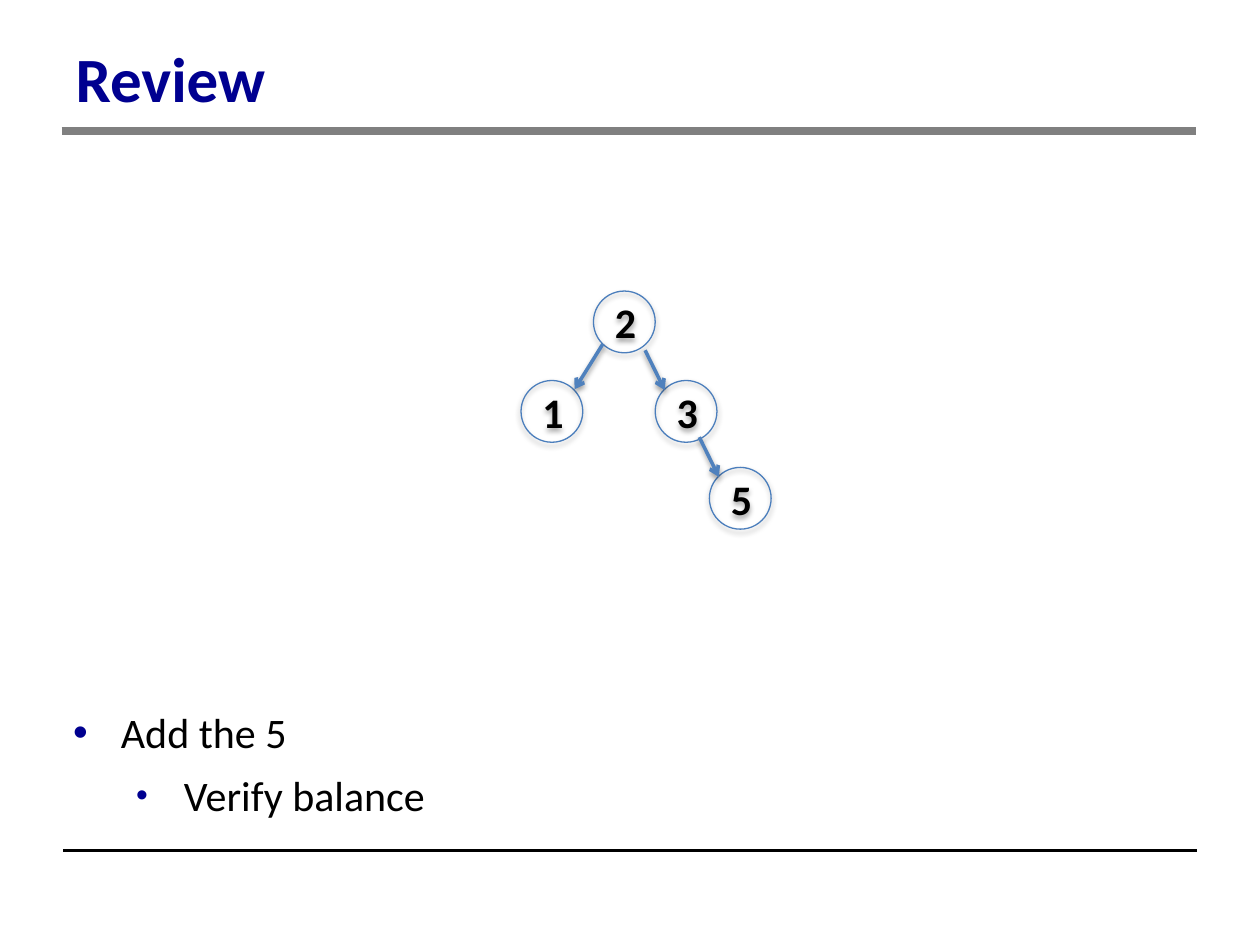
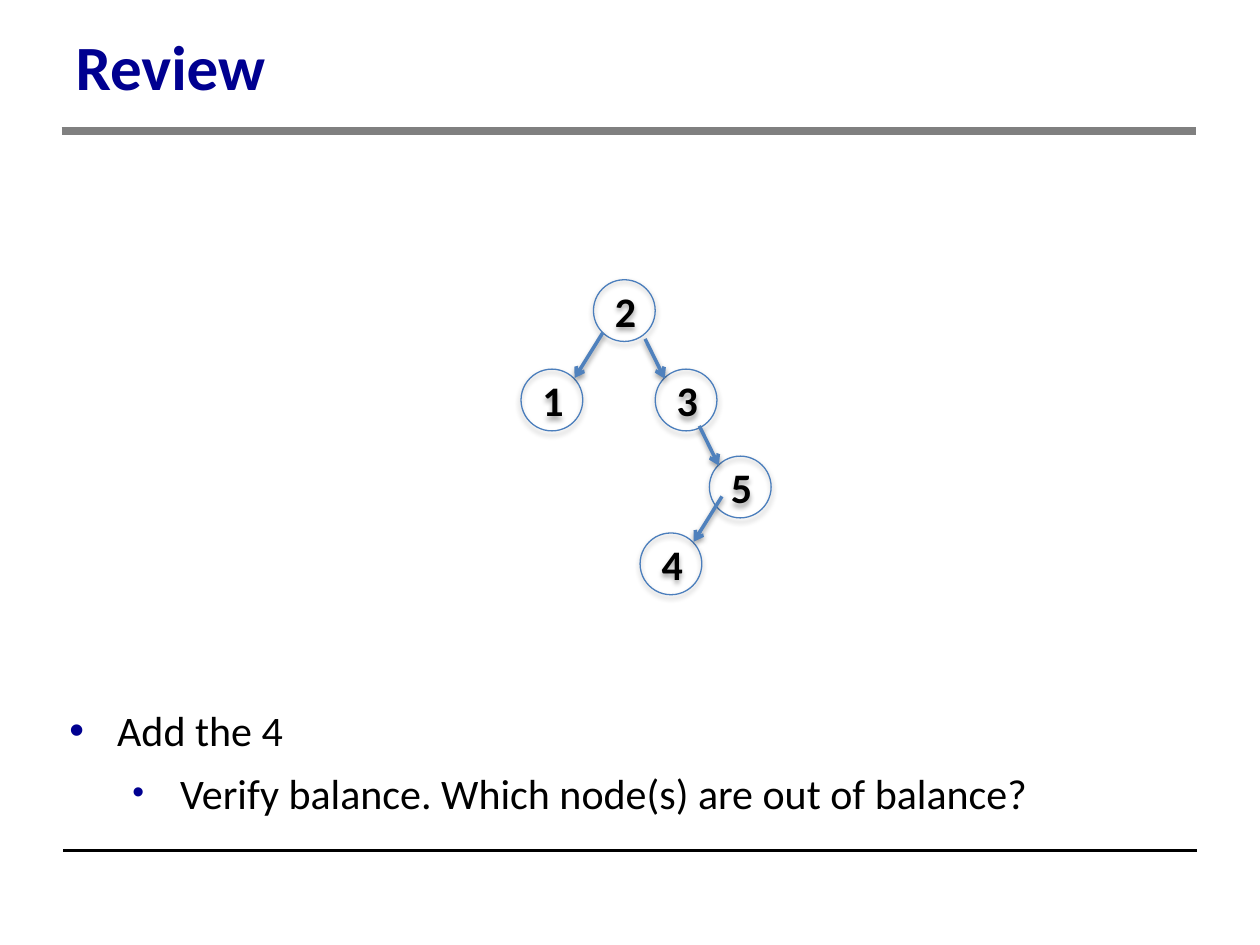
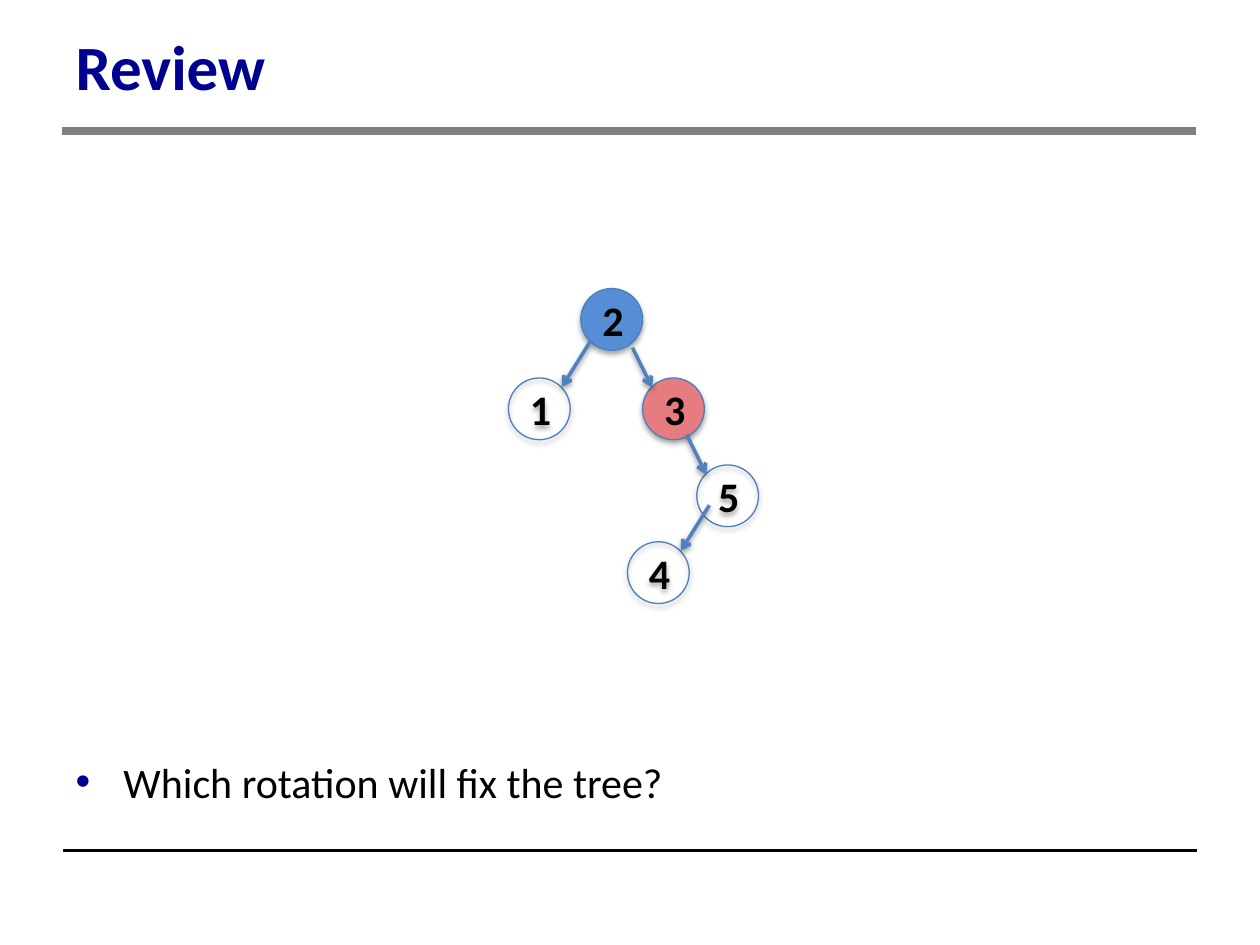
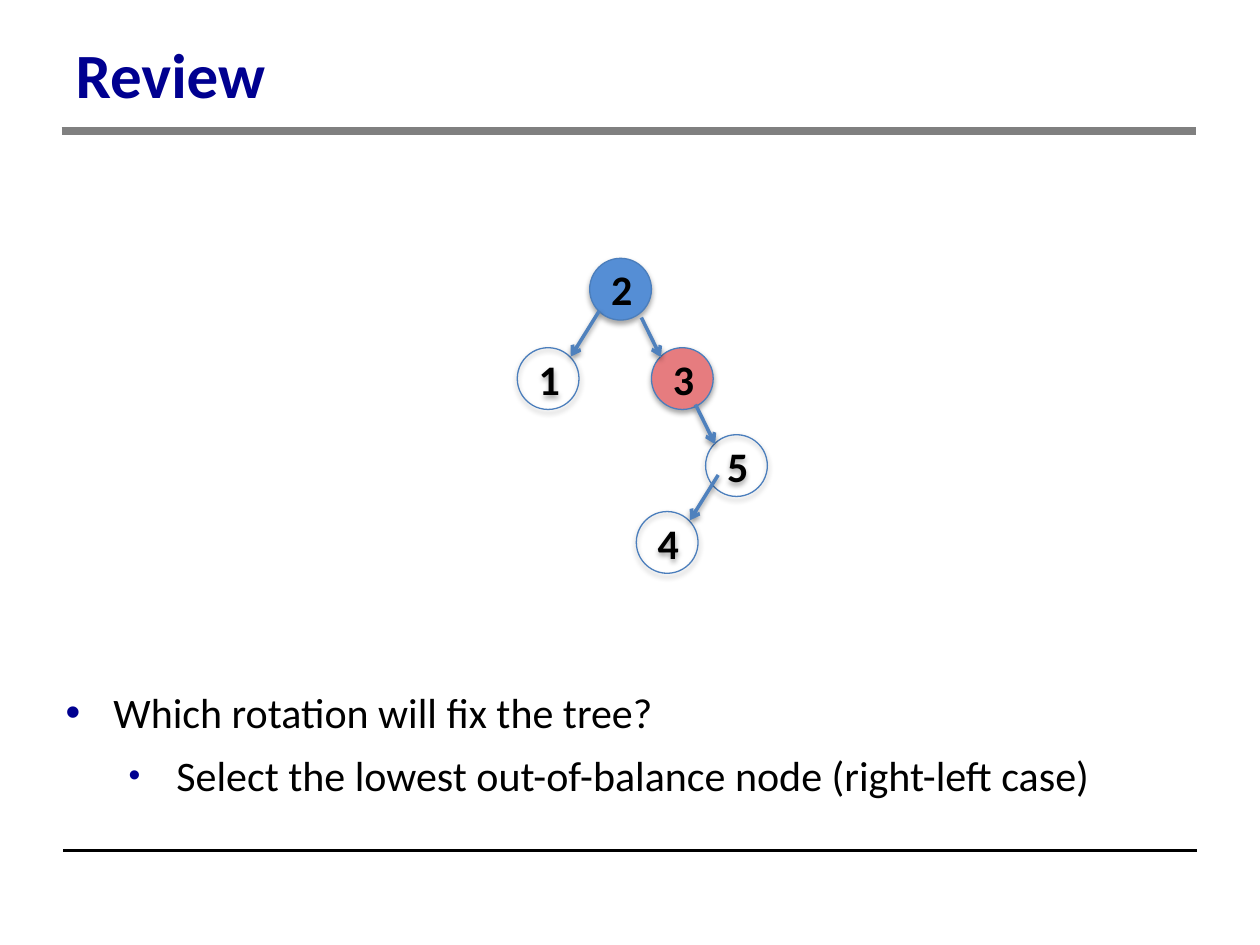
from dataclasses import dataclass

from lxml import etree
from pptx import Presentation
from pptx.dml.color import RGBColor
from pptx.enum.shapes import MSO_CONNECTOR, MSO_SHAPE
from pptx.enum.text import MSO_ANCHOR, MSO_AUTO_SIZE, PP_ALIGN
from pptx.oxml.ns import qn
from pptx.util import Inches, Length, Pt

STRAIGHT, OVAL = MSO_CONNECTOR.STRAIGHT, MSO_SHAPE.OVAL
BOTTOM, MIDDLE = MSO_ANCHOR.BOTTOM, MSO_ANCHOR.MIDDLE
LEFT, CENTER = PP_ALIGN.LEFT, PP_ALIGN.CENTER
NO_FIT, GROW = MSO_AUTO_SIZE.NONE, MSO_AUTO_SIZE.SHAPE_TO_FIT_TEXT

WIDTH, HEIGHT = Inches(10), Inches(7.5)
COLUMNS, ROWS = 100, 75
TITLE_LEFT, TITLE_TOP, TITLE_WIDTH = 5, 1.7, 82.1
NODE_SIZE = 4.9


@dataclass(frozen=True)
class Theme:
    font: str = "Calibri"
    title_size: int = 36
    title_leading: int = 40
    text_size: int = 24
    sub_gap: int = 7
    text: str = "000000"
    accent: str = "000090"
    title_rule: str = "808080"
    node_line: str = "4B7EBC"
    edge: str = "4F81BD"
    unbalanced: str = "558ED5"
    lowest_unbalanced: str = "E67C7F"


@dataclass(frozen=True)
class Rule:
    left: float
    top: float
    width: float
    color: str
    weight: float


@dataclass(frozen=True)
class Node:
    label: str
    dx: float
    dy: float
    side: str = ""


@dataclass(frozen=True)
class Edge:
    tip: tuple[float, float]
    run: tuple[float, float]


@dataclass(frozen=True)
class Bullet:
    text: str
    level: int = 0


@dataclass(frozen=True)
class Review:
    title_height: float
    root: tuple[float, float]
    nodes: list[Node]
    fills: dict[str, str]
    body: tuple[float, float, float, float]
    bullets: list[Bullet]


THEME = Theme()
RULES = [
    Rule(5, 67.5, 90, THEME.text, 2),
    Rule(4.9, 10.4, 90, THEME.title_rule, 5),
]
EDGES = {
    "left": Edge(tip=(4.25, 0.7), run=(-2.25, 3.6)),
    "right": Edge(tip=(0.75, 0.75), run=(1.55, 3.15)),
}
TREE = [
    Node("2", 0, 0),
    Node("1", -5.75, 7.1, "left"),
    Node("3", 4.9, 7.1, "right"),
    Node("5", 9.2, 14, "right"),
]
TREE_WITH_4 = TREE + [Node("4", 3.7, 20.1, "left")]
MARKED = {"2": THEME.unbalanced, "3": THEME.lowest_unbalanced}
QUESTION = Bullet("Which rotation will fix the tree?")

REVIEWS = [
    Review(7.9, (47.1, 23.1), TREE, {}, (4.8, 55.6, 83.3, 10.3),
           [Bullet("Add the 5"), Bullet("Verify balance", 1)]),
    Review(7, (47.1, 22.2), TREE_WITH_4, {}, (4.5, 55.4, 95, 10.3),
           [Bullet("Add the 4"),
            Bullet("Verify balance. Which node(s) are out of balance?", 1)]),
    Review(7, (46.1, 22.9), TREE_WITH_4, MARKED, (5, 59.5, 95, 5),
           [QUESTION]),
    Review(7.6, (46.8, 20.5), TREE_WITH_4, MARKED, (4.2, 54, 95, 10.3),
           [QUESTION,
            Bullet("Select the lowest out-of-balance node (right-left case)", 1)]),
]


def col(n: float) -> Length:
    return Length(round(WIDTH * n / COLUMNS))


def row(n: float) -> Length:
    return Length(round(HEIGHT * n / ROWS))


def rgb(color: str) -> RGBColor:
    return RGBColor.from_string(color)


def place(sp, left: float, top: float, width: float, height: float) -> None:
    sp.left, sp.top = col(left), row(top)
    sp.width, sp.height = col(width), row(height)


def add_run(p, text: str, size: float, color: str, bold: bool = False) -> None:
    r = p.add_run()
    r.text = text
    r.font.name = THEME.font
    r.font.size = Pt(size)
    r.font.bold = bold
    r.font.color.rgb = rgb(color)


def add_shadow(effects, distance: float, opacity: int) -> None:
    shadow = etree.SubElement(
        effects, qn("a:outerShdw"), blurRad=str(Pt(3.1)), dist=str(Pt(distance)),
        dir="5400000", rotWithShape="0")
    color = etree.SubElement(shadow, qn("a:srgbClr"), val="000000")
    etree.SubElement(color, qn("a:alpha"), val=str(opacity * 1000))


def add_line(s, start: tuple[float, float], end: tuple[float, float],
             color: str, weight: float):
    line = s.shapes.add_connector(
        STRAIGHT, col(start[0]), row(start[1]), col(end[0]), row(end[1]))
    line.line.color.rgb = rgb(color)
    line.line.width = Pt(weight)
    effects = etree.SubElement(line.element.spPr, qn("a:effectLst"))
    return line, effects


def move_rules_to_master(prs, s) -> None:
    tree = prs.slide_master.element.cSld.spTree
    for number, rule in enumerate(RULES, start=100):
        line, _ = add_line(s, (rule.left, rule.top),
                           (rule.left + rule.width, rule.top),
                           rule.color, rule.weight)
        line.element.nvCxnSpPr.cNvPr.set("id", str(number))
        tree.append(line.element)


def set_title(s, text: str, height: float) -> None:
    title = s.shapes.title
    place(title, TITLE_LEFT, TITLE_TOP, TITLE_WIDTH, height)
    tf = title.text_frame
    tf.auto_size = NO_FIT
    tf.vertical_anchor = BOTTOM
    p = tf.paragraphs[0]
    p.alignment = LEFT
    p.line_spacing = Pt(THEME.title_leading)
    add_run(p, text, THEME.title_size, THEME.accent, bold=True)


def set_bullet(p, level: int) -> None:
    p.level = level
    pPr = p._p.get_or_add_pPr()
    pPr.set("marL", str(Inches(0.38 + 0.5 * level)))
    pPr.set("indent", str(Inches(-0.38)))
    color = etree.SubElement(pPr, qn("a:buClr"))
    etree.SubElement(color, qn("a:srgbClr"), val=THEME.accent)
    etree.SubElement(pPr, qn("a:buSzPct"), val="80000" if level else "100000")
    etree.SubElement(pPr, qn("a:buFont"), typeface="Arial")
    etree.SubElement(pPr, qn("a:buChar"), char="•")
    p.space_before = Pt(THEME.sub_gap if level else 0)


def set_body(s, review: Review) -> None:
    body = s.placeholders[1]
    place(body, *review.body)
    tf = body.text_frame
    tf.auto_size = GROW
    for i, bullet in enumerate(review.bullets):
        p = tf.add_paragraph() if i else tf.paragraphs[0]
        set_bullet(p, bullet.level)
        add_run(p, bullet.text, THEME.text_size, THEME.text)


def add_node(s, label: str, left: float, top: float, fill: str | None) -> None:
    sp = s.shapes.add_shape(OVAL, col(left), row(top), col(NODE_SIZE), row(NODE_SIZE))
    if fill:
        sp.fill.solid()
        sp.fill.fore_color.rgb = rgb(fill)
    else:
        sp.fill.background()
    sp.line.color.rgb = rgb(THEME.node_line)
    sp.line.width = Pt(0.75)
    sp.shadow.inherit = False
    add_shadow(sp.element.spPr.find(qn("a:effectLst")), 1.8, 35)
    tf = sp.text_frame
    tf.vertical_anchor = MIDDLE
    p = tf.paragraphs[0]
    p.alignment = CENTER
    add_run(p, label, THEME.text_size, THEME.text, bold=True)


def add_edge(s, edge: Edge, left: float, top: float) -> None:
    end = (left + edge.tip[0], top + edge.tip[1])
    start = (end[0] - edge.run[0], end[1] - edge.run[1])
    line, effects = add_line(s, start, end, THEME.edge, 2)
    add_shadow(effects, 1.6, 38)
    etree.SubElement(line.element.spPr.find(qn("a:ln")), qn("a:tailEnd"), type="arrow")


def add_tree(s, review: Review) -> None:
    for node in review.nodes:
        left, top = review.root[0] + node.dx, review.root[1] + node.dy
        add_node(s, node.label, left, top, review.fills.get(node.label))
        if node.side:
            add_edge(s, EDGES[node.side], left, top)


def main() -> None:
    prs = Presentation()
    prs.slide_width, prs.slide_height = WIDTH, HEIGHT
    for i, review in enumerate(REVIEWS):
        s = prs.slides.add_slide(prs.slide_layouts[1])
        if i == 0:
            move_rules_to_master(prs, s)
        set_title(s, "Review", review.title_height)
        set_body(s, review)
        add_tree(s, review)
    prs.save("out.pptx")


if __name__ == "__main__":
    main()
